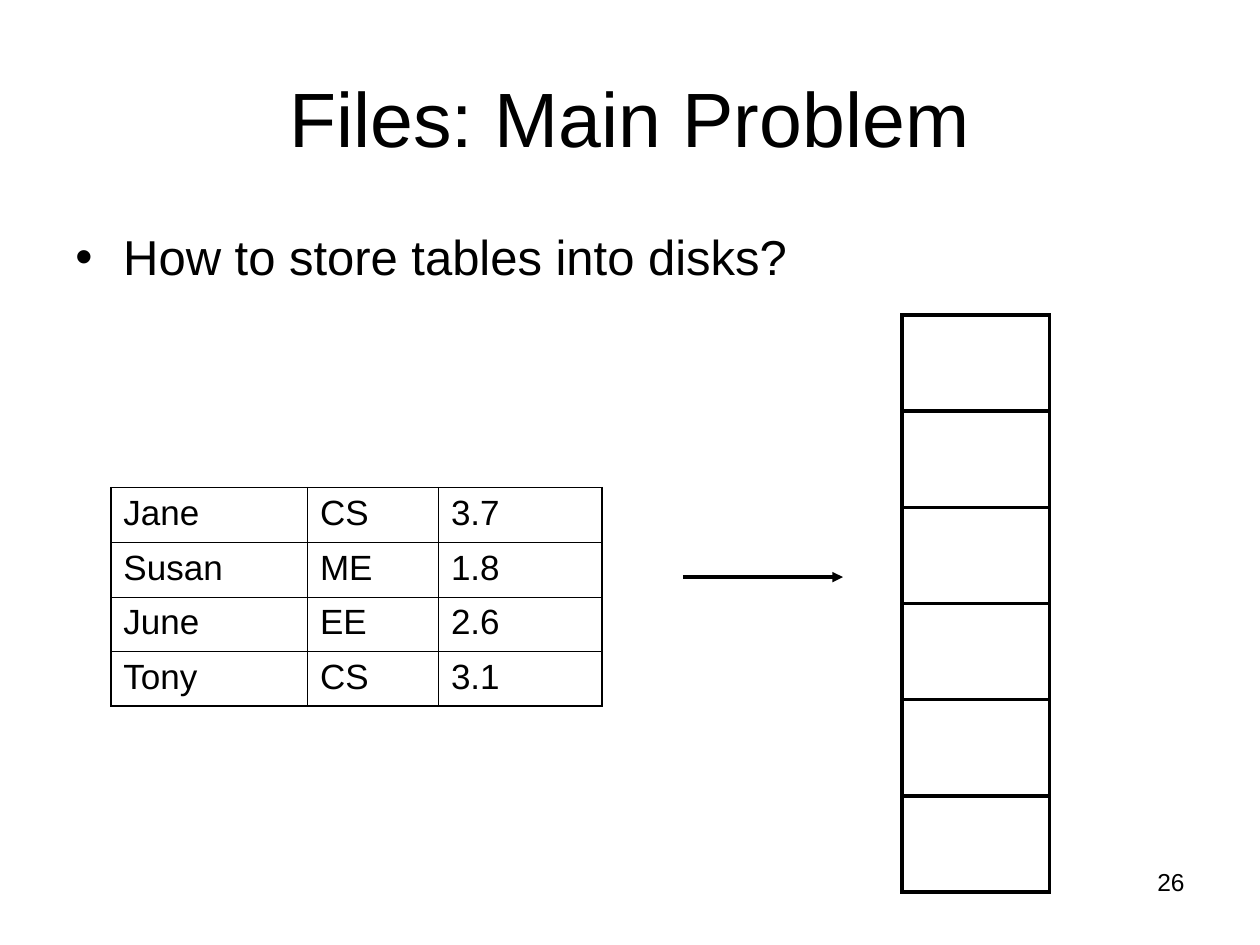
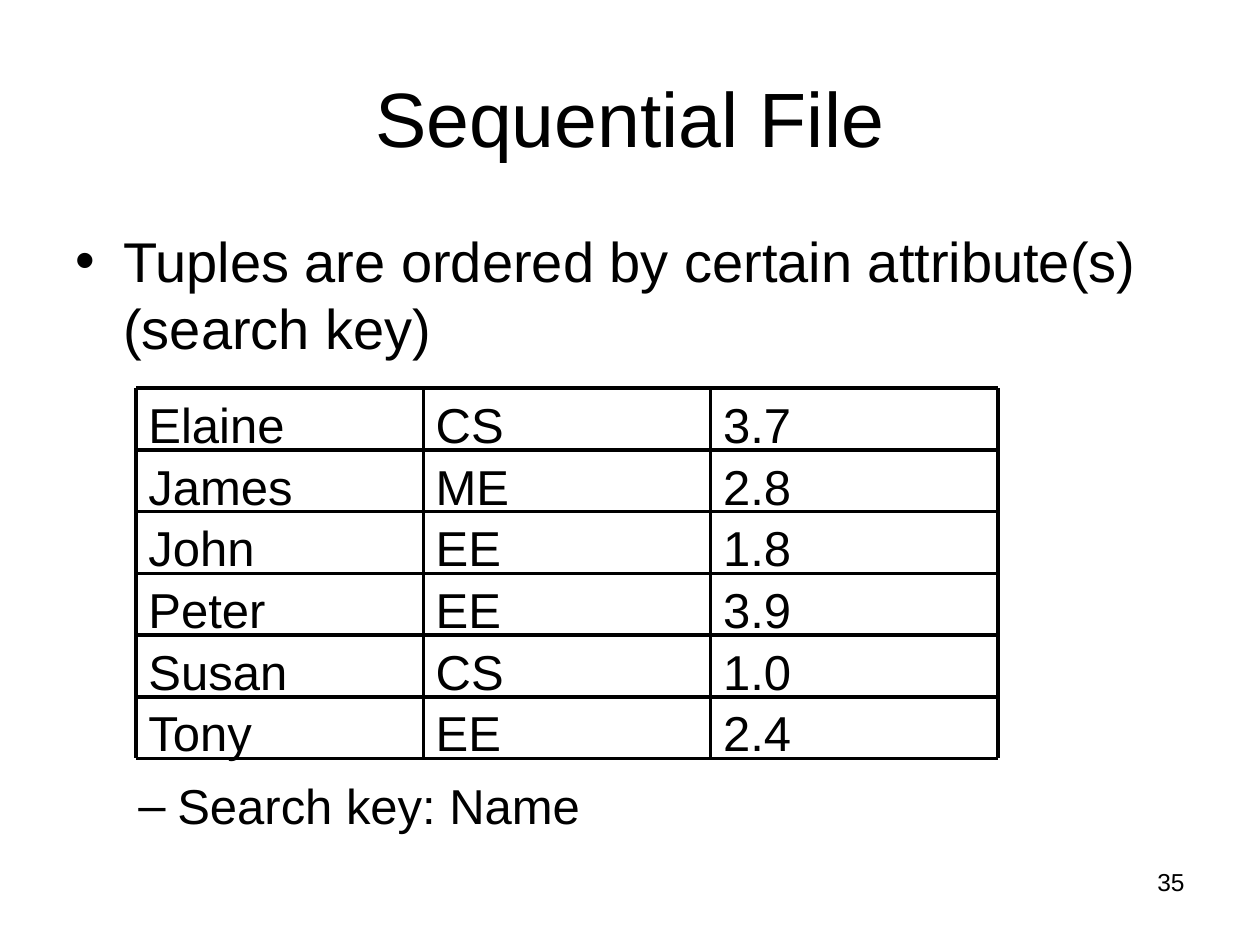
"""Build two slides on storing tables in files."""
import pptx
import pptx.dml.color
import pptx.enum.shapes
import pptx.enum.text
import pptx.oxml.ns
import pptx.util
from lxml import etree

Inches, Pt = pptx.util.Inches, pptx.util.Pt
ALIGN = pptx.enum.text.PP_ALIGN
ANCHOR = pptx.enum.text.MSO_ANCHOR
qn = pptx.oxml.ns.qn
INK = pptx.dml.color.RGBColor.from_string("000000")
FONT = "Arial"


def write(para, text, size, align=ALIGN.LEFT):
    para.text = text
    para.alignment = align
    para.font.name = FONT
    para.font.size = Pt(size)
    para.font.color.rgb = INK


def draw(slide, x1, y1, x2, y2):
    line = slide.shapes.add_connector(
        pptx.enum.shapes.MSO_CONNECTOR.STRAIGHT, *map(Inches, (x1, y1, x2, y2)))
    line.line.color.rgb = INK
    line.line.width = Pt(2)
    etree.SubElement(line._element.spPr, qn("a:effectLst"))
    return line


deck = pptx.Presentation()
deck.slide_width, deck.slide_height = Inches(10), Inches(7.5)

pages = [
    ("Files: Main Problem", "26", 8.83,
     [("How to store tables into disks?", 28, "•", 0.38, 0.38, 0)]),
    ("Sequential File", "35", 9,
     [("Tuples are ordered by certain attribute(s) (search key)", 32, "•", 0.38, 0.38, 0),
      ("Search key: Name", 28, "–", 0.81, 0.31, 237)]),
]

for title, number, width, points in pages:
    slide = deck.slides.add_slide(deck.slide_layouts[6])

    labels = [
        (number, 14, ALIGN.RIGHT, ANCHOR.TOP, (7.17, 6.83, 2.33, 0.52)),
        (title, 44, ALIGN.CENTER, ANCHOR.MIDDLE, (0.5, 0.3, 9, 1.25)),
    ]
    for text, size, align, anchor, place in labels:
        frame = slide.shapes.add_textbox(*map(Inches, place)).text_frame
        frame.word_wrap = True
        frame.vertical_anchor = anchor
        write(frame.paragraphs[0], text, size, align)

    body = slide.shapes.add_textbox(
        Inches(0.5), Inches(1.75), Inches(width), Inches(4.95)).text_frame
    body.word_wrap = True
    for i, (text, size, mark, indent, hang, gap) in enumerate(points):
        para = body.add_paragraph() if i else body.paragraphs[0]
        para.space_before = Pt(gap)
        props = para._p.get_or_add_pPr()
        props.set("marL", str(Inches(indent)))
        props.set("indent", str(-Inches(hang)))
        etree.SubElement(props, qn("a:buFont")).set("typeface", FONT)
        etree.SubElement(props, qn("a:buChar")).set("char", mark)
        write(para, text, size)

files, sorted_file = deck.slides

step = 4.58 / 6
for i in range(6):
    block = files.shapes.add_shape(
        pptx.enum.shapes.MSO_SHAPE.RECTANGLE,
        Inches(7.16), Inches(2.5 + i * step), Inches(1.17), Inches(step))
    block.shadow.inherit = False
    block.fill.background()
    block.line.color.rgb = INK
    block.line.width = Pt(2)
    etree.SubElement(block.line._get_or_add_ln(), qn("a:miter")).set("lim", "800000")

arrow = draw(files, 5.42, 4.58, 6.69, 4.58)
etree.SubElement(arrow.line._get_or_add_ln(), qn("a:tailEnd")).set("type", "triangle")

rows = ["Jane CS 3.7", "Susan ME 1.8", "June EE 2.6", "Tony CS 3.1"]
cols = [1.56, 1.04, 1.3]
table = files.shapes.add_table(
    len(rows), len(cols), Inches(0.88), Inches(3.87),
    Inches(sum(cols)), Inches(1.73)).table
table.first_row = table.horz_banding = False
for c, width in enumerate(cols):
    table.columns[c].width = Inches(width)
for r, row in enumerate(rows):
    for c, text in enumerate(row.split()):
        cell = table.cell(r, c)
        cell.fill.background()
        write(cell.text_frame.paragraphs[0], text, 20)
        edges = [("L", c == 0), ("R", c == len(cols) - 1),
                 ("T", r == 0), ("B", r == len(rows) - 1)]
        for i, (side, rim) in enumerate(edges):
            line = etree.Element(qn("a:ln" + side))
            line.set("w", str(Pt(1.08 if rim else 0.45)))
            fill = etree.SubElement(line, qn("a:solidFill"))
            etree.SubElement(fill, qn("a:srgbClr")).set("val", str(INK))
            cell._tc.get_or_add_tcPr().insert(i, line)

rows = ["Elaine CS 3.7", "James ME 2.8", "John EE 1.8",
        "Peter EE 3.9", "Susan CS 1.0", "Tony EE 2.4"]
left, top, wide, high = 1.08, 3.08, 2.28, 0.49
right, base = left + 3 * wide, top + len(rows) * high
for r, row in enumerate(rows):
    for c, text in enumerate(row.split()):
        frame = sorted_file.shapes.add_textbox(
            Inches(left + c * wide), Inches(top + r * high),
            Inches(wide), Inches(high)).text_frame
        frame.word_wrap = True
        write(frame.paragraphs[0], text, 28)
for r in range(len(rows) + 1):
    draw(sorted_file, left, top + r * high, right, top + r * high)
for c in range(4):
    draw(sorted_file, left + c * wide, top, left + c * wide, base)

deck.save("out.pptx")
